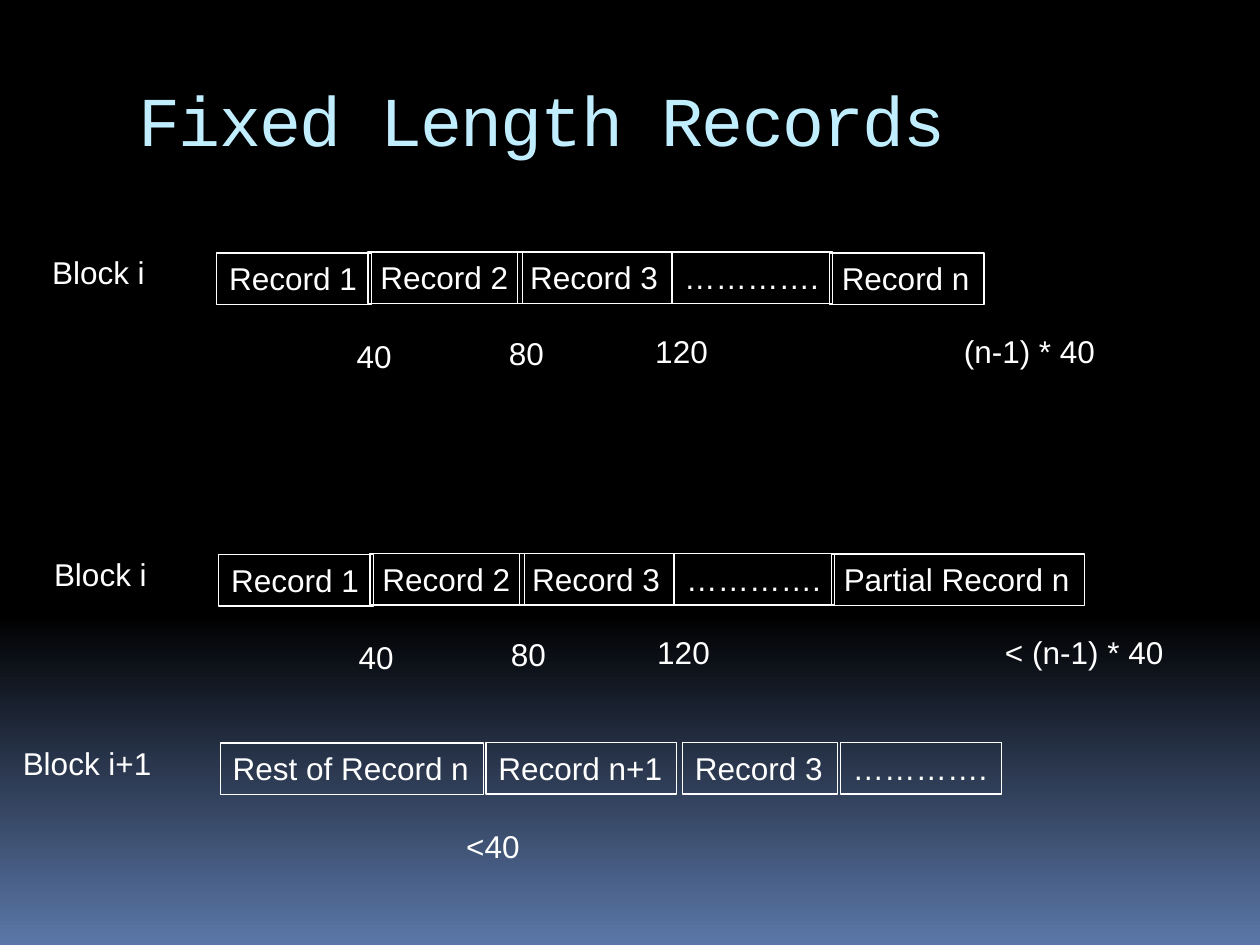
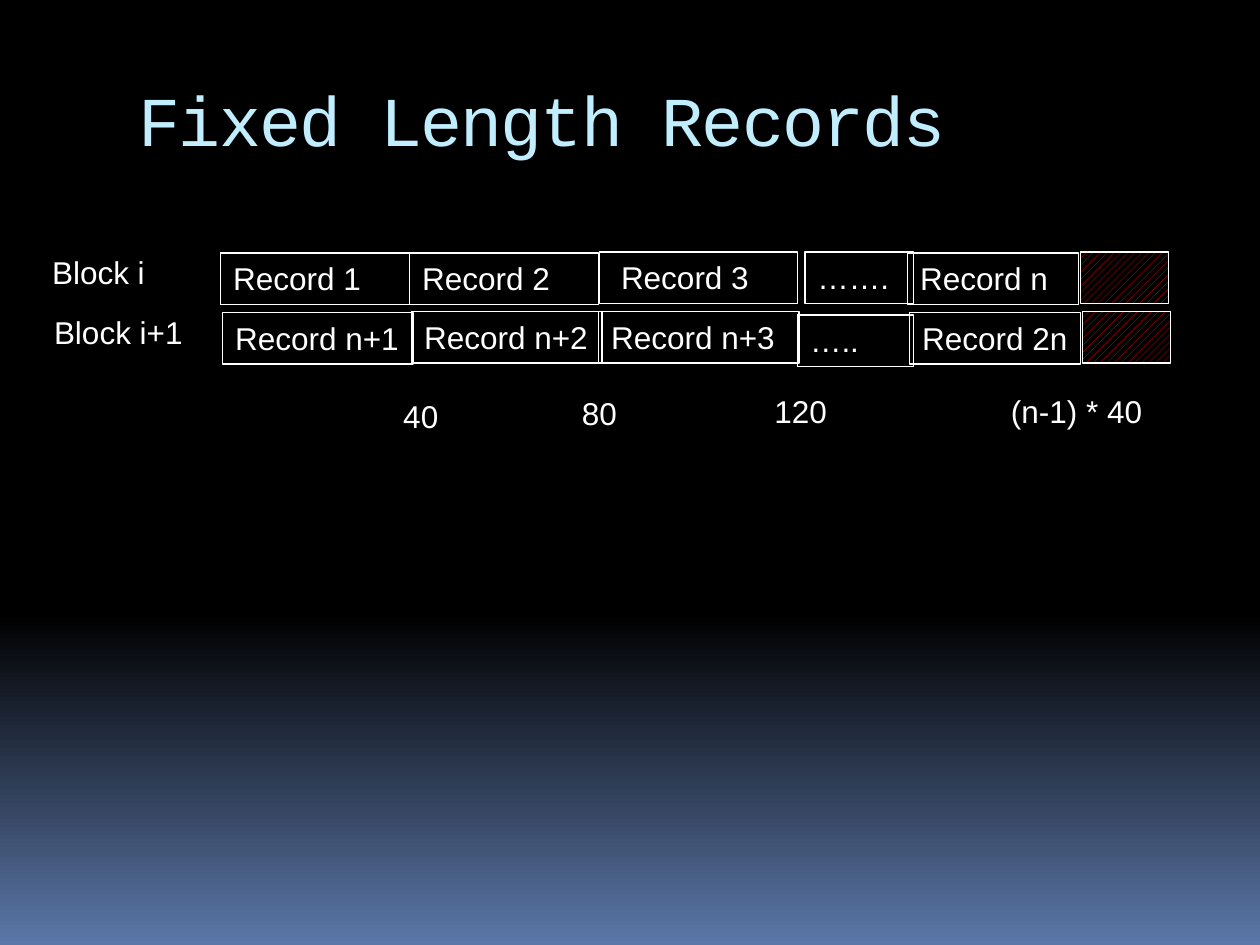
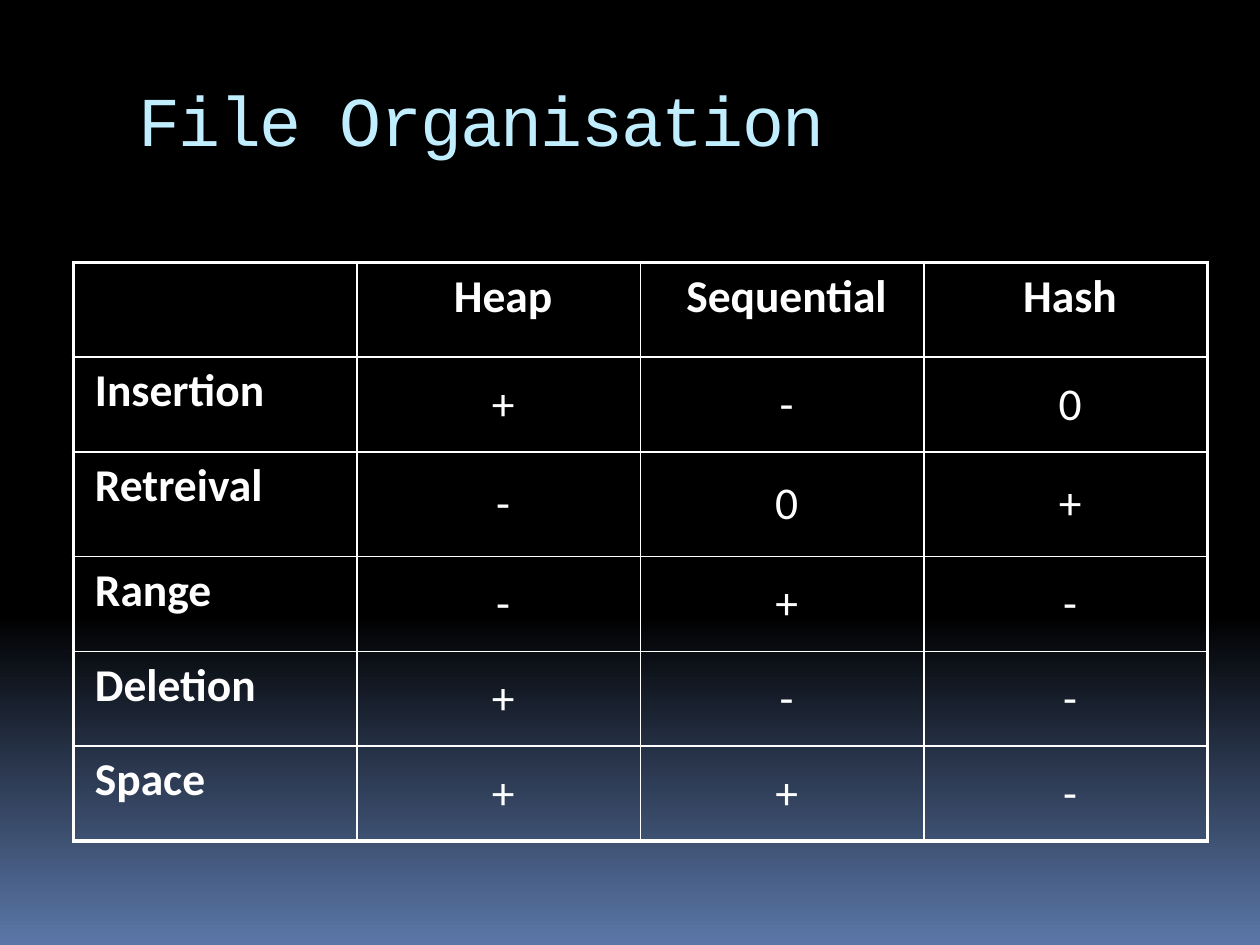
from lxml import etree
from pptx import Presentation
from pptx import util as u
from pptx.dml.color import RGBColor
from pptx.enum import dml, shapes, text
from pptx.oxml.ns import qn

COLORS = {"night": "000000", "dusk": "5B77A8", "title": "C1EEFF",
          "ink": "FFFFFF", "waste": "FF0000"}
SKY = [(0, "night"), (65, "night"), (100, "dusk")]
BANDS = [(0.86, 0.13), (0.74, 0.08), (0.69, 0.03), (0.61, 0.03)]  # left, width
DOTS = "…………."
UNUSED = None  # a record slot that holds only wasted space

# Lengths in cm. Cells: text, left, width, drop below the row's cell line,
# and optionally an extra text indent. Offsets: text, left, drop below the row.
FIRST_RECORDS = [("Record 1", 4.37, 3.12, 0.02), ("Record 2", 7.42, 3.12, 0),
                 ("Record 3", 10.44, 3.12, 0), (DOTS, 13.54, 3.25, 0)]
FIRST_OFFSETS = [("40", 6.94, 1.68), ("80", 10.01, 1.62), ("120", 12.96, 1.58)]

RECORD_SLIDES = [
    ("Fixed Length Records", [
        {"name": "Block i", "name_left": 0.8, "shift": 0, "top": 4.98,
         "cells": FIRST_RECORDS + [("Record n", 16.72, 3.12, 0.02)],
         "offsets": FIRST_OFFSETS + [("(n-1) * 40", 19.18, 1.58)]},
        {"name": "Block i", "name_left": 0.8, "shift": 0.04, "top": 11.06,
         "cells": FIRST_RECORDS + [("Partial Record n", 16.72, 5.11, 0.01)],
         "offsets": FIRST_OFFSETS + [("< (n-1) * 40", 19.97, 1.58)]},
        {"name": "Block i+1", "name_left": 0.21, "shift": 0, "top": 14.87,
         "cells": [("Rest of Record n", 4.44, 5.31, 0.01), ("Record n+1", 9.8, 3.84, 0),
                   ("Record 3", 13.76, 3.12, 0), (DOTS, 16.94, 3.25, 0)],
         "offsets": [("<40", 9.15, 1.68)]},
    ]),
    ("Fixed Length Records", [
        {"name": "Block i", "name_left": 0.8, "shift": 0, "top": 4.98,
         "cells": [("Record 1", 4.45, 3.81, 0.02), ("Record 2", 8.26, 3.81, 0.02),
                   ("Record 3", 12.09, 3.99, 0, 0.18), ("…….", 16.23, 2.18, 0),
                   ("Record n", 18.3, 3.45, 0.02), (UNUSED, 21.78, 1.78, 0)],
         "offsets": []},
        {"name": "Block i+1", "name_left": 0.8, "shift": 0.04, "top": 6.18,
         "cells": [("Record n+1", 4.45, 3.84, 0.02), ("Record n+2", 8.26, 3.84, 0),
                   ("Record n+3", 12.03, 4.04, 0), ("…..", 16.04, 2.34, 0.07),
                   ("Record 2n", 18.3, 3.45, 0.02), (UNUSED, 21.78, 1.78, 0)],
         "offsets": [("40", 7.84, 1.69), ("80", 11.44, 1.63),
                     ("120", 15.32, 1.59), ("(n-1) * 40", 20.09, 1.59)]},
    ]),
]
LABEL_WIDTHS = {"Block i": 2.39, "Block i+1": 3.1, "40": 1.22, "80": 1.22, "120": 1.57,
                "<40": 1.57, "(n-1) * 40": 3.15, "< (n-1) * 40": 3.71}

ORGANISATION = ("File Organisation", [
    ("", "Heap", "Sequential", "Hash"),
    ("Insertion", "+", "-", "0"),
    ("Retreival", "-", "0", "+"),
    ("Range", "-", "+", "-"),
    ("Deletion", "+", "-", "-"),
    ("Space", "+", "+", "-"),
])
ROW_HEIGHTS = [1.91, 1.91, 2.11, 1.91, 1.91, 1.91]


def rgb(name):
    return RGBColor.from_string(COLORS[name])


def write(frame, words, size=18, font="Arial", color="ink", bold=False,
          align=text.PP_ALIGN.LEFT, before=0, indent=0, spacing=0):
    paragraph = frame.paragraphs[0]
    paragraph.alignment = align
    if before:
        paragraph.space_before = u.Pt(before)
    if indent:
        properties = paragraph._p.get_or_add_pPr()
        properties.set("marL", str(u.Cm(indent)))
        properties.set("indent", "0")
    run = paragraph.add_run()
    run.text = words
    run.font.size, run.font.name, run.font.bold = u.Pt(size), font, bold
    run.font.color.rgb = rgb(color)
    if spacing:
        run._r.get_or_add_rPr().set("spc", str(spacing * 100))


def paint_sky(master):
    fill = master.background.fill
    fill.gradient()
    fill.gradient_angle = 270  # counter-clockwise: runs top to bottom
    stops = master.element.find(".//" + qn("a:gsLst"))
    for stop in list(stops):
        stops.remove(stop)
    for position, color in SKY:
        stop = etree.SubElement(stops, qn("a:gs"), pos=str(position * 1000))
        etree.SubElement(stop, qn("a:srgbClr"), val=COLORS[color])


def add_bands(slide, master):
    # Only a slide can make shapes, so each band is made there and moved behind
    # the master's placeholders
    tree = master.shapes._spTree
    for place, (left, width) in enumerate(BANDS):
        band = slide.shapes.add_shape(shapes.MSO_SHAPE.RECTANGLE,
                                      *map(u.Cm, (left, 1.88, width, 1.02)))
        band.shadow.inherit = False
        band.fill.solid()
        band.fill.fore_color.rgb = rgb("night")
        band.line.fill.background()
        band.element.nvSpPr.cNvPr.set("id", str(100 + place))
        tree.insert(2 + place, band.element)


def titled_slide(heading):
    slide = deck.slides.add_slide(deck.slide_layouts[5])
    title = slide.shapes.title
    title.left, title.top, title.width, title.height = map(u.Cm, (2.54, 1.42, 21.59, 2.54))
    title.text_frame.vertical_anchor = text.MSO_ANCHOR.TOP
    title.text_frame.auto_size = text.MSO_AUTO_SIZE.NONE
    write(title.text_frame, heading, size=40, font="Courier New", color="title", spacing=-1)
    return slide


def fit_frame(frame, indent=0):
    frame.word_wrap = True
    frame.vertical_anchor = text.MSO_ANCHOR.TOP
    frame.margin_left, frame.margin_right = u.Cm(0.25 + indent), 0


def add_label(slide, words, left, top):
    label = slide.shapes.add_textbox(*map(u.Cm, (left, top, LABEL_WIDTHS[words], 1.02)))
    fit_frame(label.text_frame)
    write(label.text_frame, words)


def add_record(slide, words, left, top, width, indent=0):
    record = slide.shapes.add_shape(shapes.MSO_SHAPE.RECTANGLE,
                                    *map(u.Cm, (left, top, width, 1.04)))
    record.shadow.inherit = False
    record.line.color.rgb, record.line.width = rgb("ink"), u.Pt(0.75)
    if words is UNUSED:
        record.fill.patterned()
        record.fill.pattern = dml.MSO_PATTERN.WIDE_UPWARD_DIAGONAL
        record.fill.fore_color.rgb = rgb("waste")
        record.fill.back_color.rgb = rgb("night")
    else:
        record.fill.background()
        fit_frame(record.text_frame, indent)
        write(record.text_frame, words)


def add_block(slide, block):
    shift, top = block["shift"], block["top"]
    add_label(slide, block["name"], block["name_left"] + shift, top)
    for words, left, width, drop, *indent in block["cells"]:
        add_record(slide, words, left + shift, top + 0.1 + drop, width, *indent)
    for words, left, drop in block["offsets"]:
        add_label(slide, words, left + shift, top + drop)


def set_borders(cell, widths):
    properties = cell._tc.get_or_add_tcPr()
    for place, (side, width) in enumerate(widths.items()):
        line = etree.Element(qn("a:ln" + side), w=str(u.Pt(width)))
        fill = etree.SubElement(line, qn("a:solidFill"))
        etree.SubElement(fill, qn("a:srgbClr"), val=COLORS["ink"])
        properties.insert(place, line)


def add_comparison(slide, rows):
    last_row, last_col = len(rows) - 1, len(rows[0]) - 1
    table = slide.shapes.add_table(len(rows), len(rows[0]), u.Cm(1.48), u.Cm(5.29),
                                   u.Cm(22.86), u.Cm(sum(ROW_HEIGHTS))).table
    table.first_row = table.horz_banding = False
    for row, height in zip(table.rows, ROW_HEIGHTS):
        row.height = u.Cm(height)
    for r, row in enumerate(rows):
        for c, words in enumerate(row):
            cell = table.cell(r, c)
            cell.fill.background()
            # Thick outer frame, thin inner grid
            set_borders(cell, {"L": 2.25 if c == 0 else 1, "R": 2.25 if c == last_col else 1,
                               "T": 2.25 if r == 0 else 1, "B": 2.25 if r == last_row else 1})
            heading = r == 0 or c == 0
            cell.vertical_anchor = text.MSO_ANCHOR.TOP if heading else text.MSO_ANCHOR.MIDDLE
            if words:
                write(cell.text_frame, words, size=26, font="Calibri", bold=heading,
                      align=text.PP_ALIGN.CENTER if c else text.PP_ALIGN.LEFT,
                      before=7, indent=0.18)


deck = Presentation()
deck.slide_width, deck.slide_height = u.Cm(25.4), u.Cm(19.05)
paint_sky(deck.slide_master)

# Record layouts
for heading, blocks in RECORD_SLIDES:
    records_slide = titled_slide(heading)
    for block in blocks:
        add_block(records_slide, block)

# Comparison of file organisations
heading, comparison = ORGANISATION
comparison_slide = titled_slide(heading)
add_comparison(comparison_slide, comparison)

# Bands beside every title
add_bands(comparison_slide, deck.slide_master)

deck.save("out.pptx")
